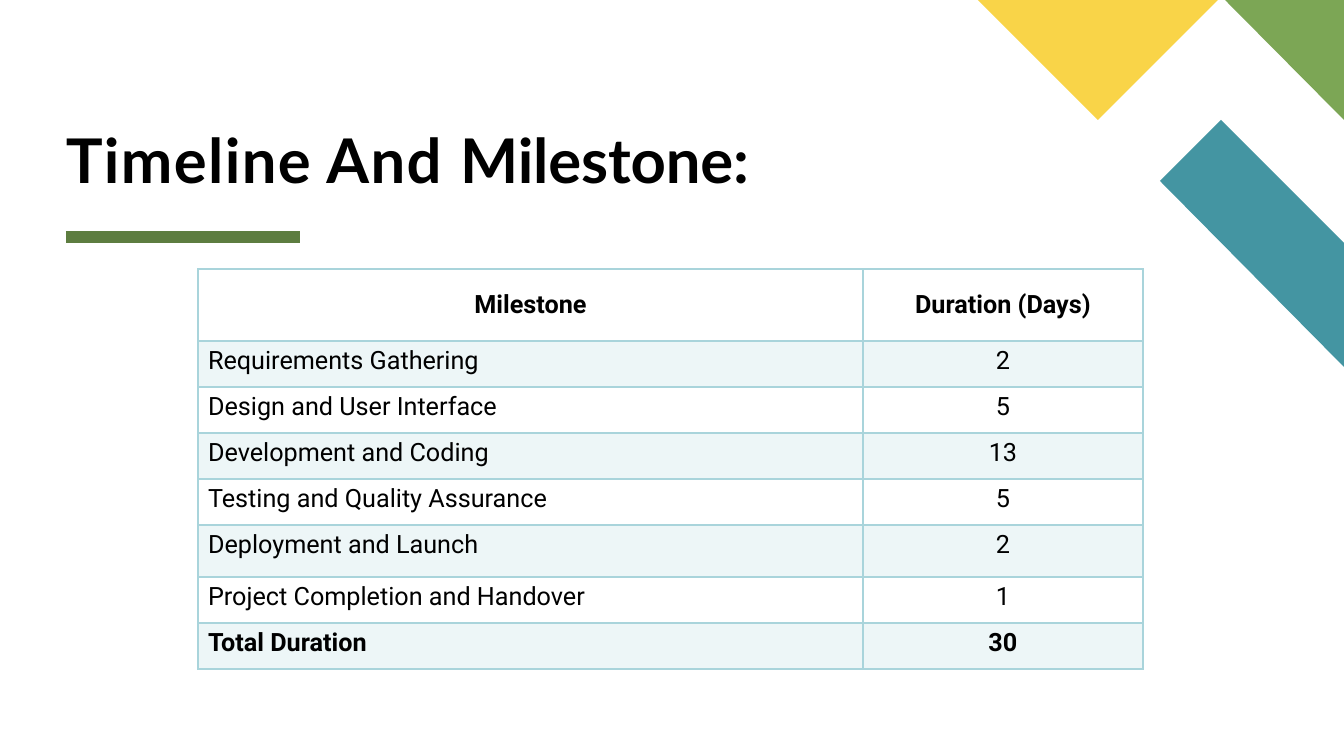
from lxml.etree import SubElement
from pptx import Presentation
from pptx.dml.color import RGBColor
from pptx.enum.shapes import MSO_CONNECTOR
from pptx.enum.text import MSO_ANCHOR, MSO_AUTO_SIZE, PP_ALIGN
from pptx.oxml.ns import qn
from pptx.util import Emu, Pt

EMU_PER_PX = 914400 / 100.8

BLACK = RGBColor(0x00, 0x00, 0x00)
TEAL = RGBColor(0x44, 0x95, 0xA2)
GREEN = RGBColor(0x7C, 0xA6, 0x55)
YELLOW = RGBColor(0xF9, 0xD4, 0x48)
DARK_GREEN = RGBColor(0x5D, 0x7D, 0x40)
PALE_TEAL = RGBColor(0xA9, 0xD4, 0xDB)


def px(length):
    return Emu(round(length * EMU_PER_PX))


def add_border(cell, side, width):
    """Draw one side (L, R, T or B) of a cell, width in points."""
    properties = cell._tc.get_or_add_tcPr()
    line = SubElement(properties, qn(f"a:ln{side}"), w=str(Pt(width)))
    fill = SubElement(line, qn("a:solidFill"))
    SubElement(fill, qn("a:srgbClr"), val=str(PALE_TEAL))


presentation = Presentation()
presentation.slide_width = px(1344)
presentation.slide_height = px(756)
slide = presentation.slides.add_slide(presentation.slide_layouts[5])

# Corner decoration
corner_shapes = [
    (TEAL, [(1344, 367), (1344, 243), (1221, 120), (1160, 181)]),
    (GREEN, [(1344, 120), (1344, 0), (1225, 0)]),
    (YELLOW, [(978, 0), (1098, 120), (1218, 0)]),
]
for color, points in corner_shapes:
    builder = slide.shapes.build_freeform(*points[0], scale=EMU_PER_PX)
    builder.add_line_segments(points[1:], close=True)
    shape = builder.convert_to_shape()
    shape.shadow.inherit = False
    shape.fill.solid()
    shape.fill.fore_color.rgb = color
    shape.line.fill.background()

# Title and its underline
underline = slide.shapes.add_connector(
    MSO_CONNECTOR.STRAIGHT, px(66), px(237), px(300), px(237))
underline.line.color.rgb = DARK_GREEN
underline.line.width = Pt(8)
SubElement(underline._element.spPr, qn("a:effectLst"))

title = slide.shapes.title
title.left, title.top, title.width, title.height = px(66), px(22), px(1210), px(173)
frame = title.text_frame
frame.auto_size = MSO_AUTO_SIZE.NONE
frame.word_wrap = True
frame.vertical_anchor = MSO_ANCHOR.BOTTOM
frame.margin_left = frame.margin_top = frame.margin_right = frame.margin_bottom = 0
paragraph = frame.paragraphs[0]
paragraph.alignment = PP_ALIGN.LEFT
paragraph.line_spacing = 0.8
paragraph.font.name = "Lato"
paragraph.font.size = Pt(44)
paragraph.font.bold = True
paragraph.font.color.rgb = BLACK
for text, spacing in [("Timeline And ", 100), ("Milestone:", -10)]:
    run = paragraph.add_run()
    run.text = text
    run.font._element.set("spc", str(spacing))

# Milestone table
milestones = [
    ("Milestone", "Duration (Days)"),
    ("Requirements Gathering", "2"),
    ("Design and User Interface", "5"),
    ("Development and Coding", "13"),
    ("Testing and Quality Assurance", "5"),
    ("Deployment and Launch", "2"),
    ("Project Completion and Handover", "1"),
    ("Total Duration", "30"),
]
column_widths = [665, 280]
row_heights = [72, 46, 46, 46, 46, 52, 46, 46]
last_row = len(milestones) - 1

table = slide.shapes.add_table(
    len(milestones), len(column_widths), px(198), px(269),
    px(sum(column_widths)), px(sum(row_heights))).table
table.horz_banding = False
table.first_row = False
for column, width in zip(table.columns, column_widths):
    column.width = px(width)

for row_index, (row_texts, height) in enumerate(zip(milestones, row_heights)):
    table.rows[row_index].height = px(height)
    is_header = row_index == 0
    for column_index, text in enumerate(row_texts):
        cell = table.cell(row_index, column_index)
        cell.text = text
        cell.vertical_anchor = MSO_ANCHOR.MIDDLE if is_header else MSO_ANCHOR.TOP
        for side in "LRTB":
            add_border(cell, side, 2 if is_header and side == "B" else 1)
        if row_index % 2:
            cell.fill.solid()
            cell.fill.fore_color.rgb = PALE_TEAL
            color_element = cell._tc.tcPr.find(qn("a:solidFill"))[0]
            SubElement(color_element, qn("a:alpha"), val="20000")
        else:
            cell.fill.background()
        paragraph = cell.text_frame.paragraphs[0]
        centred = is_header or column_index == 1
        paragraph.alignment = PP_ALIGN.CENTER if centred else PP_ALIGN.LEFT
        paragraph.font.name = "Roboto"
        paragraph.font.size = Pt(18)
        paragraph.font.bold = row_index in (0, last_row)
        paragraph.font.color.rgb = BLACK

presentation.save("out.pptx")
